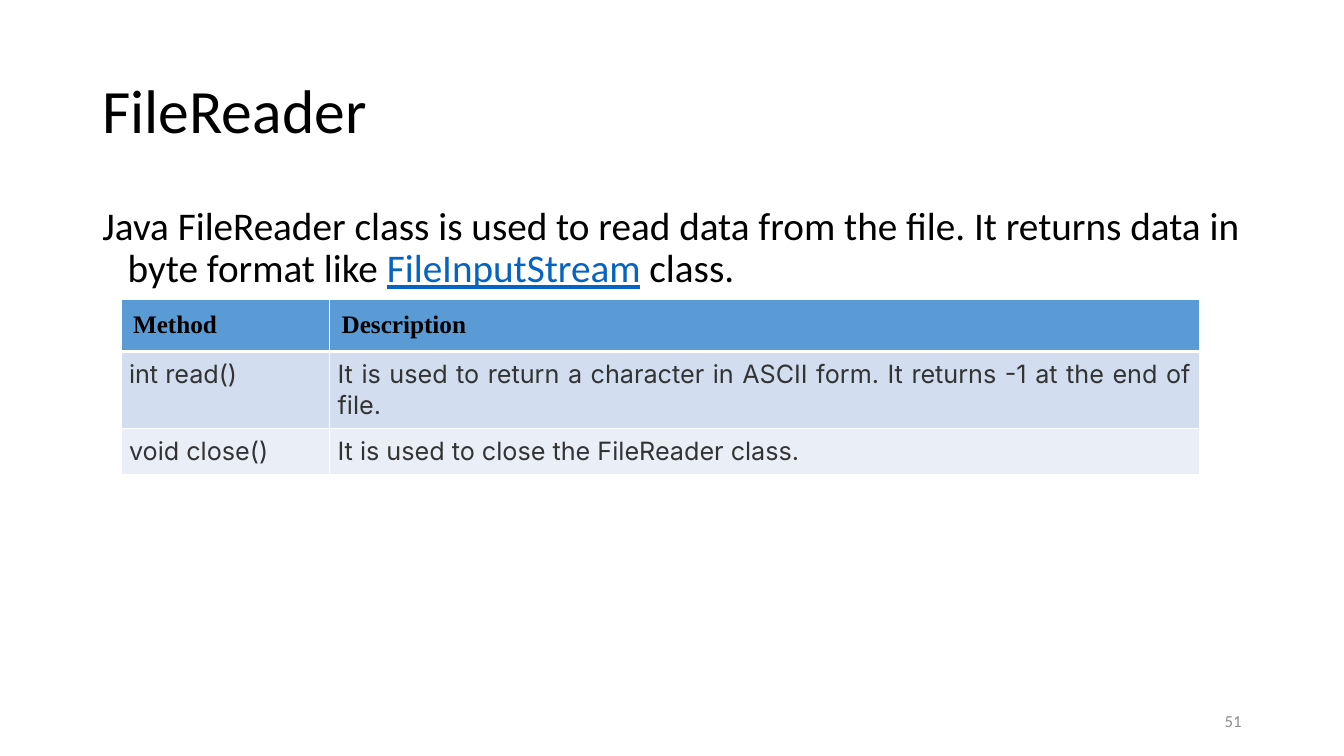
"""Build the FileReader slide: title, introduction, method table and page number."""
from dataclasses import dataclass

from lxml import etree
from pptx import Presentation
from pptx.dml.color import RGBColor
from pptx.enum.text import MSO_ANCHOR, MSO_AUTO_SIZE, PP_ALIGN
from pptx.oxml.ns import qn
from pptx.util import Pt

LEFT, RIGHT, JUSTIFY = PP_ALIGN.LEFT, PP_ALIGN.RIGHT, PP_ALIGN.JUSTIFY
TOP, MIDDLE = MSO_ANCHOR.TOP, MSO_ANCHOR.MIDDLE
NO_AUTOFIT = MSO_AUTO_SIZE.NONE


@dataclass(frozen=True)
class Theme:
    text: str = "000000"
    link: str = "0563C1"
    page: str = "8C8C8C"
    cell_text: str = "333333"
    header_fill: str = "5B9BD5"
    band_fills: tuple[str, str] = ("D2DEEF", "EAEFF7")
    border: str = "FFFFFF"
    font: str = "Calibri"
    header_font: str = "Times New Roman"
    cell_font: str = "Inter"
    title_size: int = 44
    body_size: int = 28
    table_size: int = 18
    page_size: int = 12


@dataclass(frozen=True)
class Style:
    font: str
    size: float
    color: str
    bold: bool = False
    underline: bool = False


@dataclass(frozen=True)
class RowLook:
    style: Style
    fill: str
    align: PP_ALIGN
    margin: float
    top_border: float
    bottom_border: float


@dataclass(frozen=True)
class MethodRow:
    texts: tuple[str, str]
    height: float
    look: RowLook


THEME = Theme()
BODY = Style(THEME.font, THEME.body_size, THEME.text)
LINK = Style(THEME.font, THEME.body_size, THEME.link, underline=True)
HEADER = RowLook(
    Style(THEME.header_font, THEME.table_size, THEME.text, bold=True),
    THEME.header_fill, LEFT, 8.64, 1, 3,
)
CELL = Style(THEME.cell_font, THEME.table_size, THEME.cell_text)
FIRST_BAND = RowLook(CELL, THEME.band_fills[0], JUSTIFY, 5.76, 3, 1)
SECOND_BAND = RowLook(CELL, THEME.band_fills[1], JUSTIFY, 5.76, 1, 1)

INTRODUCTION = (
    ("Java FileReader class is used to read data from the file. "
     "It returns data in byte format like ", BODY),
    ("FileInputStream", LINK),
    (" class.", BODY),
)
METHOD_ROWS = (
    MethodRow(("Method", "Description"), 33.12, HEADER),
    MethodRow(
        ("int read()",
         "It is used to return a character in ASCII form. "
         "It returns -1 at the end of file."),
        46.08, FIRST_BAND,
    ),
    MethodRow(
        ("void close()", "It is used to close the FileReader class."),
        28.08, SECOND_BAND,
    ),
)
COLUMN_WIDTHS = (149.04, 621.36)


def place(shape, left: float, top: float, width: float, height: float) -> None:
    """Set a shape's box in points."""
    shape.left, shape.top = Pt(left), Pt(top)
    shape.width, shape.height = Pt(width), Pt(height)


def add_run(paragraph, text: str, style: Style) -> None:
    """Append one styled run."""
    run = paragraph.add_run()
    run.text = text
    run.font.name = style.font
    run.font.size = Pt(style.size)
    run.font.bold = style.bold
    run.font.underline = style.underline
    run.font.color.rgb = RGBColor.from_string(style.color)


def prepare_frame(frame, anchor: MSO_ANCHOR, align: PP_ALIGN):
    """Format a text frame and return its first paragraph."""
    frame.word_wrap = True
    frame.auto_size = NO_AUTOFIT
    frame.vertical_anchor = anchor
    paragraph = frame.paragraphs[0]
    paragraph.alignment = align
    return paragraph


def add_title(slide) -> None:
    """Fill the title placeholder."""
    title = slide.shapes.title
    place(title, 66, 28.8, 828, 104.4)
    heading = prepare_frame(title.text_frame, MIDDLE, LEFT)
    heading.line_spacing = 0.9
    add_run(heading, "FileReader", Style(THEME.font, THEME.title_size, THEME.text))


def add_introduction(slide) -> None:
    """Fill the body placeholder with a hanging, unbulleted paragraph."""
    body = slide.placeholders[1]
    place(body, 66, 144, 828, 342.72)
    introduction = prepare_frame(body.text_frame, TOP, LEFT)
    introduction.line_spacing = 0.9
    introduction.space_before = Pt(10)
    properties = introduction._p.get_or_add_pPr()
    properties.set("marL", str(Pt(18)))
    properties.set("indent", str(Pt(-18)))
    etree.SubElement(properties, qn("a:buNone"))
    for text, style in INTRODUCTION:
        add_run(introduction, text, style)


def add_borders(cell, look: RowLook) -> None:
    """Draw the four borders of a table cell."""
    properties = cell._tc.get_or_add_tcPr()
    sides = {"L": 1, "R": 1, "T": look.top_border, "B": look.bottom_border}
    for side, width in sides.items():
        line = etree.SubElement(properties, qn(f"a:ln{side}"), w=str(Pt(width)))
        fill = etree.SubElement(line, qn("a:solidFill"))
        etree.SubElement(fill, qn("a:srgbClr"), val=THEME.border)


def fill_cell(cell, text: str, look: RowLook) -> None:
    """Write and format one table cell."""
    add_borders(cell, look)
    cell.fill.solid()
    cell.fill.fore_color.rgb = RGBColor.from_string(look.fill)
    cell.margin_left = cell.margin_right = Pt(look.margin)
    cell.margin_top = cell.margin_bottom = Pt(look.margin)
    paragraph = cell.text_frame.paragraphs[0]
    paragraph.alignment = look.align
    add_run(paragraph, text, look.style)


def add_method_table(slide) -> None:
    """Add the table of methods."""
    methods = slide.shapes.add_table(
        len(METHOD_ROWS), len(COLUMN_WIDTHS),
        Pt(86.4), Pt(213.84), Pt(sum(COLUMN_WIDTHS)), Pt(118.8),
    ).table
    for column, width in zip(methods.columns, COLUMN_WIDTHS):
        column.width = Pt(width)
    for row, method in zip(methods.rows, METHOD_ROWS):
        row.height = Pt(method.height)
        for cell, text in zip(row.cells, method.texts):
            fill_cell(cell, text, method.look)


def add_page_number(slide) -> None:
    """Add the page number at the lower right."""
    page = slide.shapes.add_textbox(Pt(678), Pt(500.4), Pt(216), Pt(28.8))
    number = prepare_frame(page.text_frame, MIDDLE, RIGHT)
    add_run(number, "51", Style(THEME.font, THEME.page_size, THEME.page))


def main() -> None:
    """Build and save the slide."""
    presentation = Presentation()
    presentation.slide_width, presentation.slide_height = Pt(960), Pt(540)
    slide = presentation.slides.add_slide(presentation.slide_layouts[1])
    add_title(slide)
    add_introduction(slide)
    add_page_number(slide)
    add_method_table(slide)
    presentation.save("out.pptx")


if __name__ == "__main__":
    main()
